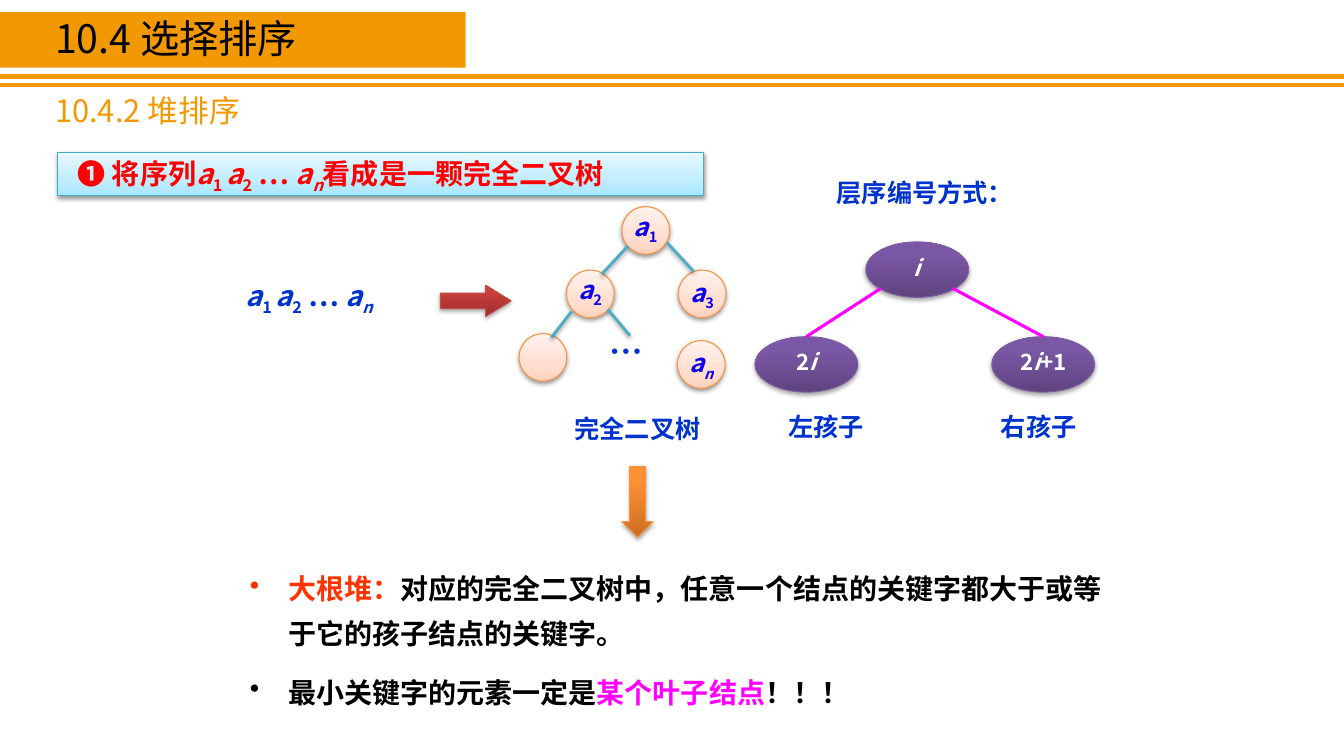
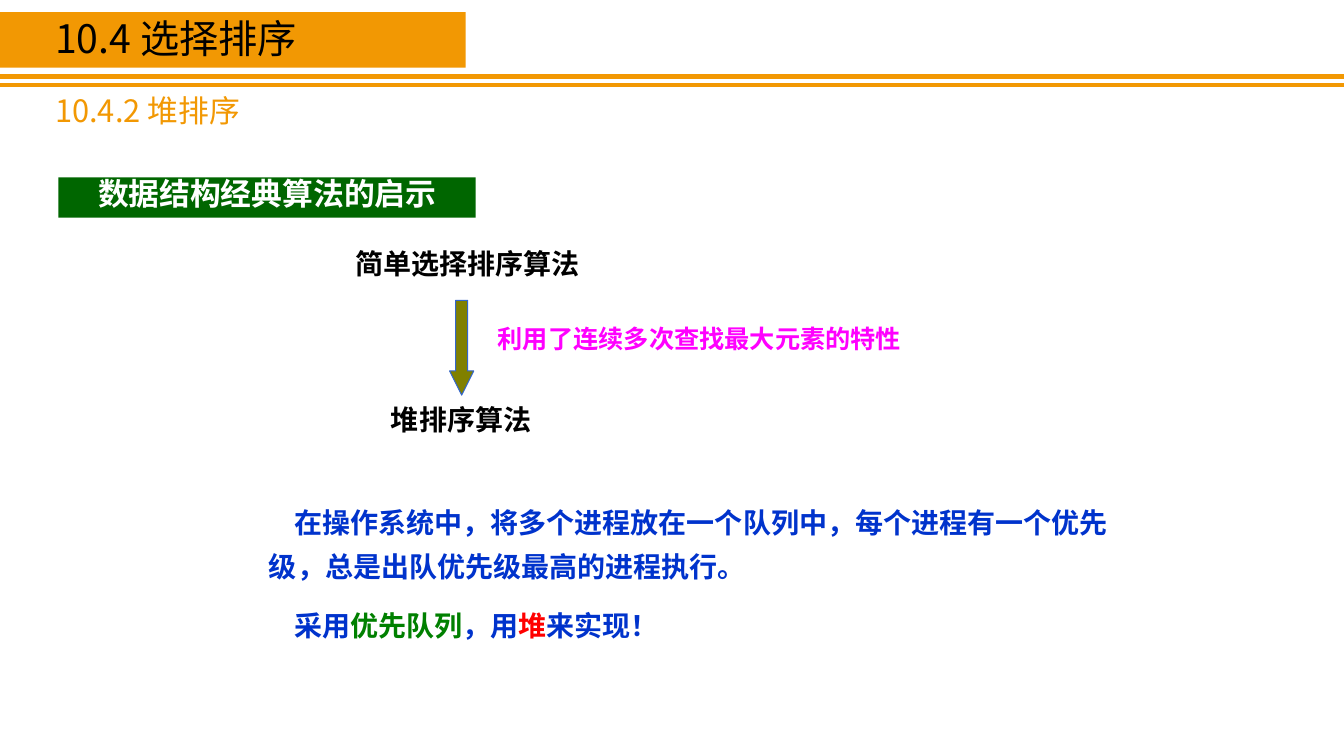
"""Build two slides on heap sort, laid out on a grid of 160 columns by 90 rows."""
import pptx
import pptx.dml.color
import pptx.enum.shapes
import pptx.enum.text
import pptx.oxml.ns
import pptx.util
from lxml import etree

FONT = "Noto Sans CJK SC"
ORANGE, BLUE, MAGENTA, RED = "F29803", "0033CC", "FF00FF", "FF0000"
BLACK, WHITE = "000000", "FFFFFF"
PEACH = [(0, "FFD2BD"), (35, "FFDED0"), (100, "FFF2ED")]
SKY = [(0, "A7E6FF"), (35, "C1EDFF"), (100, "E7F8FF")]
PURPLE = [(0, "5F4480"), (80, "7B58A6"), (100, "7C57A8")]
AMBER = [(0, "CC6E20"), (80, "FF9034"), (100, "FF9136")]
BRICK = [(0, "9C2F2D"), (80, "CB3E3A"), (100, "CE3B37")]

SHAPE = pptx.enum.shapes.MSO_SHAPE
LEFT, CENTER = pptx.enum.text.PP_ALIGN.LEFT, pptx.enum.text.PP_ALIGN.CENTER
TOP, MIDDLE = pptx.enum.text.MSO_ANCHOR.TOP, pptx.enum.text.MSO_ANCHOR.MIDDLE
color = pptx.dml.color.RGBColor.from_string
qn = pptx.oxml.ns.qn

presentation = pptx.Presentation()
presentation.slide_width = pptx.util.Inches(13.33)
presentation.slide_height = pptx.util.Inches(7.5)
COLUMN = presentation.slide_width / 160
ROW = presentation.slide_height / 90


def draw(slide, kind, place, fill=None, line=None, width=0.75, shadow=0):
    left, top, right, bottom = place
    box = [round(left * COLUMN), round(top * ROW), round(right * COLUMN), round(bottom * ROW)]
    if kind == "text":
        return slide.shapes.add_textbox(*box)
    if kind == "line":
        shape = slide.shapes.add_connector(pptx.enum.shapes.MSO_CONNECTOR.STRAIGHT, *box)
    else:
        shape = slide.shapes.add_shape(kind, *box)
        if isinstance(fill, str):
            shape.fill.solid()
            shape.fill.fore_color.rgb = color(fill)
        else:
            shape.fill.gradient()
            shape.fill.gradient_angle = 90
            stops = next(shape.element.iter(qn("a:gsLst")))
            for stop in list(stops):
                stops.remove(stop)
            for position, shade in fill:
                stop = etree.SubElement(stops, qn("a:gs"), pos=str(position * 1000))
                etree.SubElement(stop, qn("a:srgbClr"), val=shade)
    if line:
        shape.line.color.rgb = color(line)
        shape.line.width = pptx.util.Pt(width)
    else:
        shape.line.fill.background()
    effects = etree.SubElement(shape.element.spPr, qn("a:effectLst"))
    if shadow:
        outer = etree.SubElement(effects, qn("a:outerShdw"), blurRad="40000", dist="20000",
                                 dir="5400000", rotWithShape="0")
        shade = etree.SubElement(outer, qn("a:srgbClr"), val=BLACK)
        etree.SubElement(shade, qn("a:alpha"), val=str(shadow * 1000))
    return shape


def write(shape, paragraphs, size, ink, bold=True, align=LEFT, anchor=TOP, wrap=True,
          margins=(0.1, 0.05, 0.1, 0.05), spacing=0.8, indent=(0, 0), bullet=None):
    frame = shape.text_frame
    frame.word_wrap = wrap
    frame.vertical_anchor = anchor
    frame.margin_left, frame.margin_top, frame.margin_right, frame.margin_bottom = [
        pptx.util.Inches(margin) for margin in margins]
    for number, runs in enumerate(paragraphs):
        paragraph = frame.add_paragraph() if number else frame.paragraphs[0]
        paragraph.alignment = align
        paragraph.line_spacing = spacing
        paragraph.space_before = pptx.util.Pt(size / 2 if number else 0)
        properties = list(shape.element.iter(qn("a:pPr")))[-1]
        properties.set("marL", str(pptx.util.Inches(indent[0])))
        properties.set("indent", str(pptx.util.Inches(indent[1])))
        if bullet:
            etree.SubElement(properties, qn("a:buChar"), char=bullet)
        for text, style, shade in runs:
            run = paragraph.add_run()
            run.text = text
            run.font.size = pptx.util.Pt(size)
            run.font.bold = bold
            run.font.italic = "italic" in style
            run.font.color.rgb = color(shade or ink)
            run.font.name = FONT
            properties = list(shape.element.iter(qn("a:rPr")))[-1]
            etree.SubElement(properties, qn("a:ea"), typeface=FONT)
            if "sub" in style:
                properties.set("baseline", "-25000")


blank = presentation.slide_layouts[6]
for placeholder in list(blank.placeholders):
    blank.shapes.element.remove(placeholder.element)
heap_slide, insight_slide = [presentation.slides.add_slide(blank) for _ in range(2)]

header = [draw(heap_slide, "line", (0, row, 160, row), line=ORANGE, width=3) for row in (9.12, 10.08)]
header.append(draw(heap_slide, SHAPE.RECTANGLE, (0, 1.44, 55.44, 6.6), ORANGE))
for shape in header:
    blank.shapes.element.append(shape.element)

for slide in (heap_slide, insight_slide):
    title = draw(slide, "text", (5.4, 2.16, 45.6, 5.76))
    write(title, [[("10.4 选择排序", "", None)]], 28, BLACK, bold=False)
    subtitle = draw(slide, "text", (5.4, 11.16, 57.6, 4.8))
    write(subtitle, [[("10.4.2 堆排序", "", None)]], 22, ORANGE, bold=False)

sequence = [("a", "italic", None), ("1 ", "sub", None), ("a", "italic", None), ("2", "sub", None),
            (" … ", "", None), ("a", "italic", None), ("n", "italic sub", None)]
step = draw(heap_slide, SHAPE.RECTANGLE, (6.84, 18.12, 76.92, 5.16), SKY, "46AAC5", shadow=38)
write(step, [[("❶ 将序列", "", None), *sequence, ("看成是一颗完全二叉树", "", None)]], 20, RED,
      margins=(0.2, 0.08, 0.1, 0.08))
sequence_label = draw(heap_slide, "text", (28.08, 33, 21.6, 4.44))
write(sequence_label, [sequence], 20, BLUE)

to_tree = draw(heap_slide, SHAPE.RIGHT_ARROW, (52.44, 33.96, 8.4, 3.72), BRICK, "BF4C48", shadow=35)
to_tree.adjustments[1] = 0.815
draw(heap_slide, SHAPE.DOWN_ARROW, (74.04, 55.56, 3.72, 8.4), AMBER, "F69240", shadow=35)

raised, centered = (0.1, 0, 0.1, 0.05), (0, 0, 0, 0)
for column, row, index, style, margins in [
        (74.04, 24.6, "1", "sub", raised), (67.44, 32.16, "2", "sub", raised),
        (80.76, 32.16, "3", "sub", centered), (61.8, 39.72, None, "", centered),
        (80.64, 40.56, "n", "italic sub", centered)]:
    node = draw(heap_slide, SHAPE.OVAL, (column, row, 5.68, 5.68), PEACH, "F69240", shadow=38)
    if index:
        write(node, [[("a", "italic", None), (index, style, None)]], 18, "1000E4",
              align=CENTER, anchor=MIDDLE, wrap=False, margins=margins)
for edge in [(74.76, 29.28, 71.64, 32.64), (79.44, 28.92, 82.56, 32.28),
             (68.04, 37.08, 65.64, 40.2), (72.36, 36.84, 75, 39.96)]:
    draw(heap_slide, "line", edge, line="4BACC6", width=2, shadow=38)
ellipsis = draw(heap_slide, "text", (71.4, 39.72, 8.52, 5.04))
write(ellipsis, [[("…", "", None)]], 24, BLUE)

letter = ("i", "italic", None)
for column, row, runs, start in [
        (103.08, 28.8, [letter], None),
        (89.88, 40.08, [("2", "", None), letter], 104.88),
        (118.08, 40.08, [("2", "", None), letter, ("+1", "", None)], 113.4)]:
    number = draw(heap_slide, SHAPE.OVAL, (column, row, 12.24, 6.6), PURPLE, "7D60A0", shadow=35)
    write(number, [runs], 16, WHITE, align=CENTER, anchor=MIDDLE)
    if start:
        branch = draw(heap_slide, "line", (start, 34.32, column + 6.12, row), line=MAGENTA, width=2.25)
        branch.end_connect(number, 0)

for text, column, row, width in [
        ("完全二叉树", 62.76, 49.32, 26.28), ("左孩子", 89.88, 49.08, 16.92),
        ("右孩子", 115.2, 49.08, 16.92), ("层序编号方式：", 98.4, 21.24, 23.4)]:
    label = draw(heap_slide, "text", (column, row, width, 4.08))
    write(label, [[(text, "", None)]], 18, BLUE, align=CENTER)

properties_box = draw(heap_slide, SHAPE.RECTANGLE, (28.56, 66.12, 104.04, 19.32), WHITE)
write(properties_box, [
    [("大根堆：", "", "FF3300"),
     ("对应的完全二叉树中，任意一个结点的关键字都大于或等于它的孩子结点的关键字。", "", None)],
    [("最小关键字的元素一定是", "", None), ("某个叶子结点", "", MAGENTA), ("！！！", "", None)],
], 20, BLACK, spacing=pptx.util.Pt(32), indent=(0.38, -0.38), bullet="•")

heading = draw(insight_slide, SHAPE.RECTANGLE, (6.96, 21.12, 49.68, 4.8), "006600")
write(heading, [[("数据结构经典算法的启示", "", None)]], 22, WHITE, align=CENTER)
for text, column, row, width in [("简单选择排序算法", 40.2, 29.16, 30.96),
                                 ("堆排序算法", 42.12, 47.76, 25.56)]:
    algorithm = draw(insight_slide, SHAPE.RECTANGLE, (column, row, width, 5.16), WHITE)
    write(algorithm, [[(text, "", None)]], 20, BLACK, align=CENTER, margins=(0.1, 0.08, 0.1, 0.08))
evolution = draw(insight_slide, SHAPE.DOWN_ARROW, (53.52, 35.76, 2.88, 11.28), "808000", "3366CC")
evolution.adjustments[1] = 1
reason = draw(insight_slide, "text", (58.08, 38.64, 56.28, 4.08))
write(reason, [[("利用了连续多次查找最大元素的特性", "", None)]], 18, MAGENTA)
application = draw(insight_slide, "text", (30.84, 58.2, 103.08, 19.32))
write(application, [
    [("在操作系统中，将多个进程放在一个队列中，每个进程有一个优先级，总是出队优先级最高的进程执行。", "", None)],
    [("采用", "", None), ("优先队列", "", "008000"), ("，用", "", None), ("堆", "", RED),
     ("来实现！", "", None)],
], 20, BLUE, spacing=pptx.util.Pt(32), indent=(0, 0.25))

presentation.save("out.pptx")
